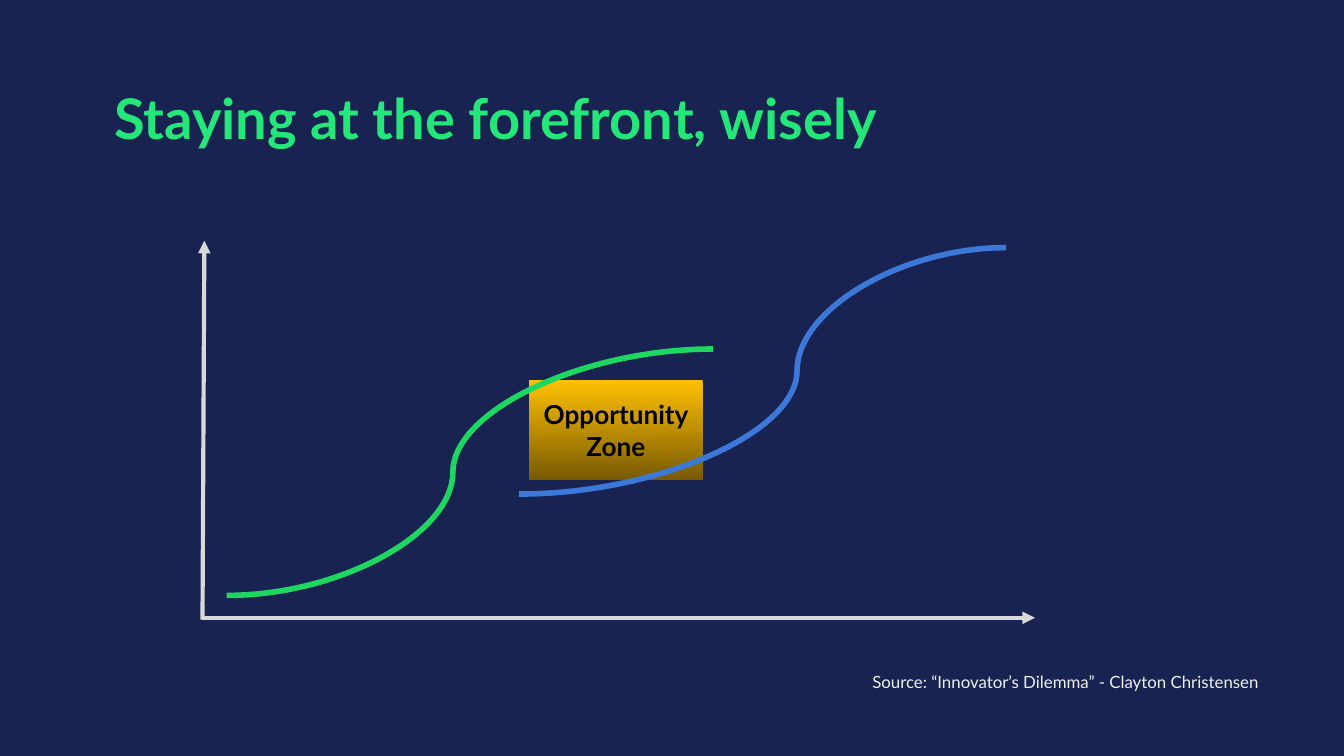
"""Build the slide on staying at the forefront with two overlapping S-curves."""
from dataclasses import dataclass
from typing import Optional

from lxml import etree
from pptx import Presentation
from pptx.dml.color import RGBColor
from pptx.enum import shapes, text
from pptx.oxml import ns
from pptx.util import Pt

NAVY = RGBColor(0x18, 0x23, 0x51)
TITLE_GREEN = RGBColor(0x24, 0xE6, 0x79)
CURVE_GREEN = RGBColor(0x1E, 0xD7, 0x60)
CURVE_BLUE = RGBColor(0x3C, 0x78, 0xD8)
AXIS_GREY = RGBColor(0xD9, 0xD9, 0xD9)
SOURCE_GREY = RGBColor(0xEF, 0xEF, 0xEF)
AMBER = RGBColor(0xFF, 0xC0, 0x02)
BROWN = RGBColor(0x79, 0x5B, 0x04)
BLACK = RGBColor(0, 0, 0)
FONT = "Lato"
INSET = 7.2


@dataclass
class Line:
    start: tuple[float, float]
    end: tuple[float, float]
    color: RGBColor
    width: float
    bend: Optional[float] = None


@dataclass
class Label:
    content: str
    size: float
    color: RGBColor
    bold: bool
    align: text.PP_ALIGN
    anchor: text.MSO_ANCHOR


LINES = [
    Line((108.5, 332), (109.5, 129), AXIS_GREY, 2.25),
    Line((108, 331), (554.5, 331), AXIS_GREY, 2.25),
    Line((121.5, 319), (382, 187), CURVE_GREEN, 3, bend=0.465),
    Line((278, 264.7), (539, 132.7), CURVE_BLUE, 3, bend=0.571),
]


def draw_line(slide, line: Line) -> None:
    """Draw a straight axis with an arrowhead, or an S-curve if a bend is given."""
    curved = line.bend is not None
    kind = shapes.MSO_CONNECTOR.CURVE if curved else shapes.MSO_CONNECTOR.STRAIGHT
    connector = slide.shapes.add_connector(kind, *map(Pt, line.start + line.end))
    connector.line.color.rgb = line.color
    connector.line.width = Pt(line.width)
    properties = connector._element.spPr
    etree.SubElement(properties, ns.qn("a:effectLst"))
    if curved:
        adjustments = properties.find(".//" + ns.qn("a:avLst"))
        etree.SubElement(adjustments, ns.qn("a:gd"), name="adj1",
                         fmla=f"val {round(line.bend * 100000)}")
    else:
        etree.SubElement(connector.line._get_or_add_ln(), ns.qn("a:tailEnd"),
                         type="triangle")


def write(shape, label: Label) -> None:
    """Fill a shape with one formatted paragraph."""
    frame = shape.text_frame
    frame.text = label.content
    frame.word_wrap = True
    frame.auto_size = text.MSO_AUTO_SIZE.NONE
    frame.vertical_anchor = label.anchor
    frame.margin_left = frame.margin_right = Pt(INSET)
    frame.margin_top = frame.margin_bottom = Pt(INSET)
    paragraph = frame.paragraphs[0]
    paragraph.alignment = label.align
    font = paragraph.font
    font.name, font.size, font.bold = FONT, Pt(label.size), label.bold
    font.color.rgb = label.color


def main() -> None:
    """Assemble and save the slide."""
    deck = Presentation()
    deck.slide_width, deck.slide_height = Pt(720), Pt(405)
    slide = deck.slides.add_slide(deck.slide_layouts[5])
    slide.background.fill.solid()
    slide.background.fill.fore_color.rgb = NAVY

    title = slide.shapes.title
    title.left, title.top, title.width, title.height = map(Pt, (54, 36, 600, 53.5))
    write(title, Label("Staying at the forefront, wisely", 30, TITLE_GREEN, True,
                       text.PP_ALIGN.LEFT, text.MSO_ANCHOR.MIDDLE))

    zone = slide.shapes.add_shape(shapes.MSO_SHAPE.RECTANGLE,
                                  *map(Pt, (283.4, 203.6, 93, 53.5)))
    zone.shadow.inherit = False
    zone.line.fill.background()
    zone.fill.gradient()
    zone.fill.gradient_angle = 270
    for stop, color in zip(zone.fill.gradient_stops, (AMBER, BROWN)):
        stop.color.rgb = color
    write(zone, Label("Opportunity Zone", 14, BLACK, True,
                      text.PP_ALIGN.CENTER, text.MSO_ANCHOR.MIDDLE))

    for line in LINES:
        draw_line(slide, line)

    source = slide.shapes.add_textbox(*map(Pt, (420.5, 352.8, 260.6, 21.6)))
    write(source, Label("Source: “Innovator’s Dilemma” - Clayton Christensen", 9,
                        SOURCE_GREY, False, text.PP_ALIGN.RIGHT, text.MSO_ANCHOR.TOP))

    deck.save("out.pptx")


if __name__ == "__main__":
    main()
